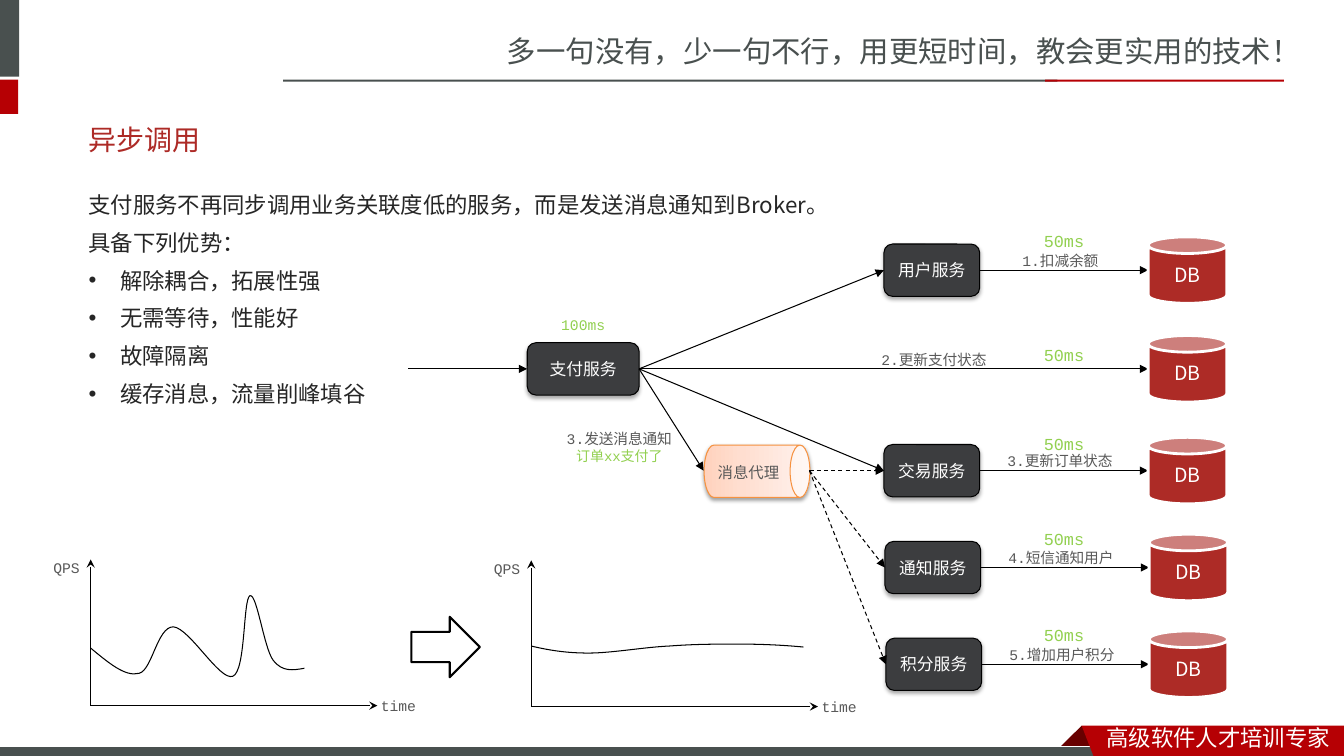
from copy import deepcopy
from dataclasses import dataclass

from lxml.etree import SubElement
from pptx import Presentation
from pptx.dml.color import RGBColor
from pptx.enum.dml import MSO_LINE
from pptx.enum.shapes import MSO_CONNECTOR, MSO_SHAPE
from pptx.enum.text import MSO_ANCHOR, PP_ALIGN
from pptx.oxml.ns import qn
from pptx.util import Pt

HEX = {"gray": "49504F", "red": "B60004", "fold": "680000", "white": "FFFFFF",
       "title": "AD2A26", "body": "262626", "black": "000000", "dark": "3C3D3F",
       "store": "AD2B26", "note": "595959", "green": "92D050", "orange": "F69240"}
MONO, SANS, LATO = "Courier New", "Noto Sans CJK SC", "Lato"
LEFT, MID = PP_ALIGN.LEFT, PP_ALIGN.CENTER
Point = tuple[float, float]


@dataclass
class Row:
    """One service, its call and its store."""
    mid: float
    name: str
    shift: float
    step: str
    step_x: float
    step_w: float
    ms_top: float


@dataclass
class Plot:
    """Axes with a load curve: a start, then three points per bend."""
    x: float
    y: float
    curve: list[Point]


ROWS = [
    Row(193, "用户服务", 0, "1.扣减余额", 722.9, 69.1, 161.3),
    Row(263.5, "", 0, "2.更新支付状态", 622.1, 90, 242.6),
    Row(336.2, "交易服务", 0, "3.更新订单状态", 712.1, 90, 306),
    Row(405.4, "通知服务", 0.7, "4.短信通知用户", 712.8, 90, 374.4),
    Row(474.5, "积分服务", 1.4, "5.增加用户积分", 713.5, 90, 442.8),
]
PLOTS = [
    Plot(64.8, 504, [
        (0, -41), (12.2, -31), (24.5, -20.2), (34.6, -23), (43.9, -25.2),
        (47.5, -56.2), (59, -56.2), (70.6, -55.4), (92.2, -17.3), (101.5, -20.9),
        (110.9, -24.5), (108.7, -76.3), (113.8, -78.5), (118.8, -79.9),
        (123.8, -41), (130.3, -32.4), (136.8, -23.8), (144.7, -25.2), (152.6, -26.6)]),
    Plot(379.5, 504.7, [
        (0, -43.2), (12.2, -40.3), (24.5, -38.2), (41, -38.2), (57.6, -38.2),
        (81.4, -42.5), (98.6, -43.2), (116.6, -44.6), (131.8, -44.6),
        (148.3, -44.6), (164.2, -44.6), (179.3, -43.9), (194.4, -42.5)]),
]
BARS = [(-4.3, 0, 18, 54.7, "gray"), (-4.3, 56.9, 17.3, 24.5, "red"),
        (202.3, 56.9, 553, 1.5, "gray"), (746.6, 56.9, 170.6, 1.5, "red")]
BODY = ["支付服务不再同步调用业务关联度低的服务，而是发送消息通知到Broker。",
        "具备下列优势：", "解除耦合，拓展性强", "无需等待，性能好", "故障隔离",
        "缓存消息，流量削峰填谷"]

deck = Presentation()
deck.slide_width, deck.slide_height = Pt(960), Pt(540)
slide = deck.slides.add_slide(deck.slide_layouts[6])
shapes = slide.shapes


def color(key: str) -> RGBColor:
    return RGBColor.from_string(HEX[key])


def write(para, text: str, size: float, tint: str, font: str) -> None:
    run = para.add_run()
    run.text = text
    run.font.size, run.font.name = Pt(size), font
    run.font.color.rgb = color(tint)
    SubElement(run._r.get_or_add_rPr(), qn("a:ea")).set("typeface", SANS)


def label(x: float, y: float, w: float, h: float, text: str, size: float, tint: str,
          font: str = MONO, align=LEFT, wrap: bool = True):
    frame = shapes.add_textbox(Pt(x), Pt(y), Pt(w), Pt(h)).text_frame
    frame.word_wrap = wrap
    frame.paragraphs[0].alignment = align
    write(frame.paragraphs[0], text, size, tint, font)
    return frame


def paint(item, fill: str | None, line: str | None, width: float = 0.75) -> None:
    item.shadow.inherit = False
    if fill:
        item.fill.solid()
        item.fill.fore_color.rgb = color(fill)
    else:
        item.fill.background()
    if line:
        item.line.color.rgb = color(line)
        item.line.width = Pt(width)
    else:
        item.line.fill.background()


def shape(kind, x: float, y: float, w: float, h: float, fill: str,
          line: str | None = None, width: float = 0.75):
    item = shapes.add_shape(kind, Pt(x), Pt(y), Pt(w), Pt(h))
    paint(item, fill, line, width)
    return item


def caption(item, text: str, size: float, font: str) -> None:
    frame = item.text_frame
    frame.vertical_anchor = MSO_ANCHOR.MIDDLE
    frame.paragraphs[0].alignment = MID
    write(frame.paragraphs[0], text, size, "white", font)


def shade(item, alpha: int) -> None:
    effect = item._element.spPr.find(qn("a:effectLst"))
    cast = SubElement(effect, qn("a:outerShdw"), blurRad=str(Pt(3.1)),
                      dist=str(Pt(1.8)), dir="5400000", rotWithShape="0")
    tone = SubElement(cast, qn("a:srgbClr"), val=HEX["black"])
    SubElement(tone, qn("a:alpha"), val=str(alpha * 1000))


def service(x: float, mid: float, w: float, name: str):
    item = shape(MSO_SHAPE.ROUNDED_RECTANGLE, x, mid - 18.7, w, 37.4, "dark", "black")
    shade(item, 35)
    caption(item, name, 12, MONO)
    return item


def arrow(start: Point, end: Point, head: str = "triangle", dash: bool = False,
          source=None, target=None) -> None:
    link = shapes.add_connector(MSO_CONNECTOR.STRAIGHT, *map(Pt, start + end))
    if source:
        link.begin_connect(source, 3)
    if target:
        link.end_connect(target, 1)
    link.line.color.rgb = color("black")
    link.line.width = Pt(0.75)
    if dash:
        link.line.dash_style = MSO_LINE.DASH
    SubElement(link.line._get_or_add_ln(), qn("a:tailEnd"), type=head)
    SubElement(link._element.spPr, qn("a:effectLst"))


def outline(points: list[Point], closed: bool):
    dots = [(Pt(x), Pt(y)) for x, y in points]
    pen = shapes.build_freeform(*dots[0])
    pen.add_line_segments(dots[1:], close=closed)
    return pen.convert_to_shape()


def bend(item) -> None:
    """Turn each three segments into one cubic curve."""
    legs = item._element.xpath(".//a:lnTo")
    for i in range(0, len(legs), 3):
        cubic = SubElement(legs[i].getparent(), qn("a:cubicBezTo"))
        for leg in legs[i:i + 3]:
            cubic.append(leg[0])
            leg.getparent().remove(leg)


# Header and footer
label(355, 20.2, 605.5, 33.8, "多一句没有，少一句不行，用更短时间，教会更实用的技术！", 21, "gray", SANS)
for *box, tint in BARS:
    shape(MSO_SHAPE.RECTANGLE, *box, tint)
paint(outline([(772.6, 518.4), (788.4, 534.2), (787.7, 535), (757.4, 535),
               (756.7, 534.2)], True), "fold", None)
shape(MSO_SHAPE.RECTANGLE, -0.7, 533.5, 792, 8.6, "gray", "white")
paint(outline([(772.6, 518.4), (960, 518.4), (960, 542.9), (781.9, 542.2)], True),
      "red", None)
label(783.4, 514, 176.6, 26.6, "高级软件人才培训专家", 16, "white", SANS)

# Title and body
label(56.2, 83.5, 842.4, 31.7, "异步调用", 20, "title", LATO).vertical_anchor = MSO_ANCHOR.MIDDLE
frame = label(56.2, 128.2, 842.4, 111.6, BODY[0], 16, "body", SANS)
for text in BODY[1:]:
    para = frame.add_paragraph()
    para.space_before = Pt(3)
    if text in BODY[2:]:
        props = para._p.get_or_add_pPr()
        props.set("marL", str(Pt(22.5)))
        props.set("indent", str(-Pt(22.5)))
        SubElement(props, qn("a:buFont"), typeface="Arial")
        SubElement(props, qn("a:buChar"), char="•")
    write(para, text, 16, "body", SANS)
for para in frame.paragraphs:
    para.line_spacing = 1.25

# Payment service and message broker
pay = service(376.6, 263.5, 79.9, "支付服务")
out, port, exit = (456.5, 263.5), (502.6, 336.2), (578.2, 336.2)
arrow((291.6, 263.5), (376.6, 263.5), target=pay)
label(393.8, 221.8, 46, 20, "100ms", 10.5, "green", wrap=False)
can = shape(MSO_SHAPE.CAN, 522, 298.8, 37.4, 75.6, "white", "orange")
can.rotation, can.adjustments[0] = 90, 0.378
shade(can, 38)
can.fill.gradient()
can.fill.gradient_angle = 90
first = can._element.xpath(".//a:gs")[0]
first.addnext(deepcopy(first))
for stop, (place, tone) in zip(can.fill.gradient_stops,
                               [(0, "FFD2BD"), (0.35, "FFDED0"), (1, "FFF2ED")]):
    stop.position, stop.color.rgb = place, RGBColor.from_string(tone)
label(502.6, 327.6, 64.1, 17.3, "消息代理", 11, "note", align=MID)
arrow(out, port, source=pay)
frame = label(397.4, 303.8, 90, 32.4, "3.发送消息通知", 10.5, "note", align=MID)
para = frame.add_paragraph()
para.alignment = MID
write(para, "订单xx支付了", 10, "green", MONO)

# Services, calls and stores
for row in ROWS:
    left = 631.4 + row.shift
    store = 820.1 + min(row.shift, 0.7)
    node = service(left, row.mid, 68.4, row.name) if row.name else None
    arrow((left + 68.4, row.mid), (store, row.mid), source=node or pay)
    if node and row.mid <= exit[1]:
        arrow(out, (left, row.mid), source=pay, target=node)
    if node and row.mid >= exit[1]:
        arrow(exit, (left, row.mid), dash=True, target=node)
    label(row.step_x, row.mid - 16.7, row.step_w, 20, row.step, 10.5, "note", align=MID)
    label(738, row.ms_top, 44, 21.6, "50ms", 12, "green", align=MID, wrap=False)
    drum = shape(MSO_SHAPE.CAN, store, row.mid - 23.8, 56.2, 47.5, "store", "white", 2)
    caption(drum, "DB", 14, SANS)

# Load before and after
for plot in PLOTS:
    x, y = plot.x, plot.y
    arrow((x, y), (x, y - 104.4), "stealth")
    arrow((x, y), (x + 204.8, y), "stealth")
    label(x - 33.8, y - 108.7, 33.1, 20, "QPS", 10.5, "note", wrap=False)
    label(x + 200.2, y - 10, 39.6, 20, "time", 10.5, "note", wrap=False)
    wave = outline([(x + dx, y + dy) for dx, dy in plot.curve], False)
    paint(wave, None, "black")
    bend(wave)
shape(MSO_SHAPE.RIGHT_ARROW, 293.8, 440.6, 49, 43.2, "white", "black", 1.5)

deck.save("out.pptx")
